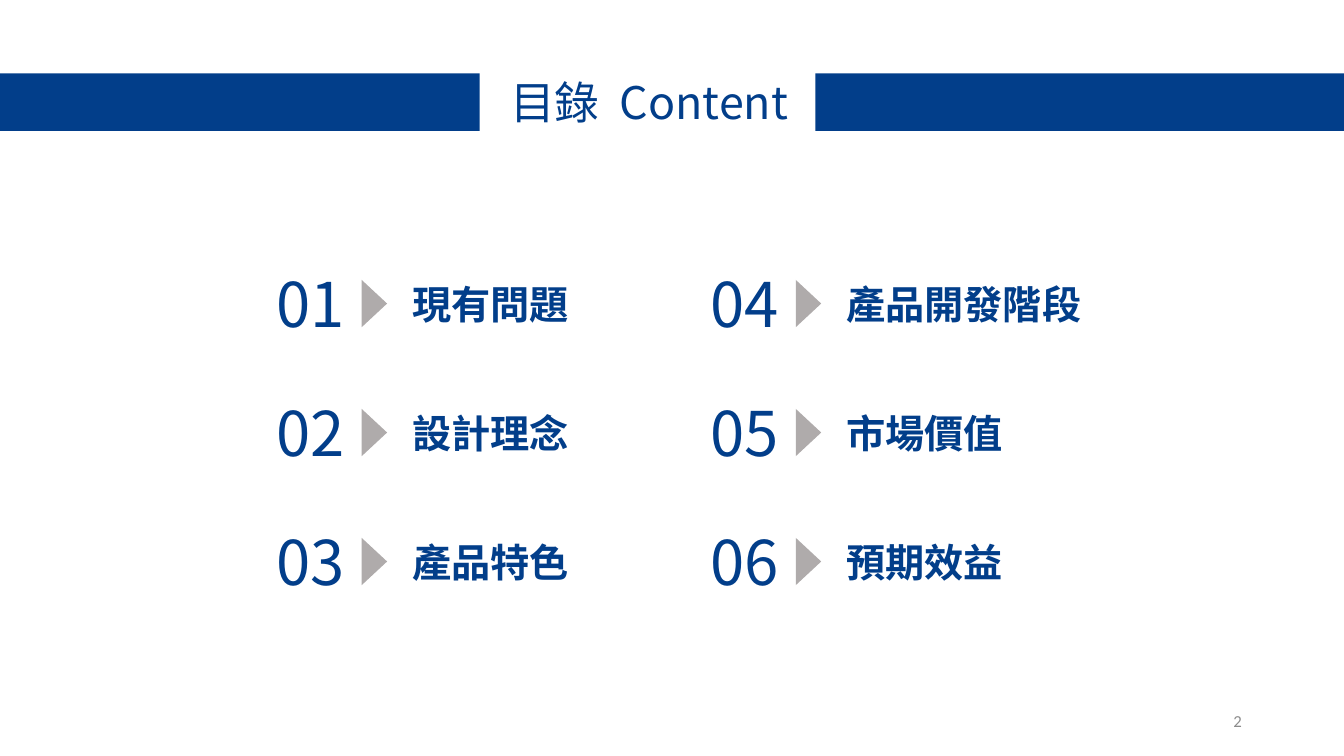
from dataclasses import dataclass

from lxml import etree
from pptx import Presentation
from pptx.dml.color import RGBColor
from pptx.enum.shapes import MSO_SHAPE
from pptx.enum.text import MSO_ANCHOR, MSO_AUTO_SIZE, PP_ALIGN
from pptx.oxml.ns import qn
from pptx.util import Cm, Pt

RECT, TRIANGLE = MSO_SHAPE.RECTANGLE, MSO_SHAPE.ISOSCELES_TRIANGLE
CENTER, RIGHT = PP_ALIGN.CENTER, PP_ALIGN.RIGHT
TOP, MIDDLE = MSO_ANCHOR.TOP, MSO_ANCHOR.MIDDLE
NO_AUTOSIZE = MSO_AUTO_SIZE.NONE
TITLE_ONLY = 5


@dataclass(frozen=True)
class Theme:
    font: str = "Noto Sans CJK SC"
    footer_font: str = "Calibri"
    blue: str = "023E8A"
    marker: str = "AFABAB"
    footer: str = "8C8C8C"
    title_size: int = 32
    number_size: int = 44
    label_size: int = 28
    footer_size: int = 12


THEME = Theme()
SLIDE_W, SLIDE_H = 33.87, 19.05
BAR_TOP, BAR_H = 1.85, 1.45
GRID_LEFT, GRID_TOP = 6.6, 6.58
COL_STEP, ROW_STEP, ROWS = 10.94, 3.25, 3
TOPICS = ["現有問題", "設計理念", "產品特色", "產品開發階段", "市場價值", "預期效益"]


def write(tf, text, size, color=THEME.blue, font=THEME.font, bold=False,
          align=CENTER, anchor=TOP, wrap=True):
    """Fill a text frame with one formatted run."""
    tf.auto_size = NO_AUTOSIZE
    tf.word_wrap = wrap
    tf.vertical_anchor = anchor
    p = tf.paragraphs[0]
    p.alignment = align
    r = p.add_run()
    r.text = text
    r.font.name, r.font.size, r.font.bold = font, Pt(size), bold
    r.font.color.rgb = RGBColor.from_string(color)
    # East Asian characters take their own typeface entry
    ea = etree.Element(qn("a:ea"), typeface=font)
    r.font._element.find(qn("a:latin")).addnext(ea)


def add_text(s, text, left, top, width, height, **fmt):
    box = s.shapes.add_textbox(Cm(left), Cm(top), Cm(width), Cm(height))
    write(box.text_frame, text, **fmt)


def add_block(s, kind, left, top, width, height, color, rotation=0):
    sp = s.shapes.add_shape(kind, Cm(left), Cm(top), Cm(width), Cm(height))
    sp.shadow.inherit = False
    sp.fill.solid()
    sp.fill.fore_color.rgb = RGBColor.from_string(color)
    sp.line.fill.background()
    sp.rotation = rotation


def add_title(s, text):
    title = s.shapes.title
    title.left, title.top = Cm(11.79), Cm(1.75)
    title.width, title.height = Cm(9.14), Cm(1.63)
    write(title.text_frame, text, size=THEME.title_size)


def add_topic(s, number, label, left, top):
    """Number, arrow marker and label of one entry."""
    add_text(s, f"{number:02d}", left, top, 2.46, 2.13, size=THEME.number_size)
    add_block(s, TRIANGLE, left + 2.24, top + 0.75, 1.19, 0.64,
              THEME.marker, rotation=90)
    # Label width: one em per character plus the side insets
    width = len(label) * Pt(THEME.label_size).cm + 0.51
    add_text(s, label, left + 3.53, top + 0.35, width, 1.45,
             size=THEME.label_size, bold=True, wrap=False)


def main():
    prs = Presentation()
    prs.slide_width, prs.slide_height = Cm(SLIDE_W), Cm(SLIDE_H)
    s = prs.slides.add_slide(prs.slide_layouts[TITLE_ONLY])

    # Header: title between two bars
    add_title(s, "目錄  Content")
    for left, right in ((0, 12.09), (20.55, SLIDE_W)):
        add_block(s, RECT, left, BAR_TOP, right - left, BAR_H, THEME.blue)

    # Topics run down each column
    for i, label in enumerate(TOPICS):
        col, row = divmod(i, ROWS)
        add_topic(s, i + 1, label, GRID_LEFT + col * COL_STEP,
                  GRID_TOP + row * ROW_STEP)

    # Page number
    add_text(s, "2", 23.93, 17.65, 7.62, 1.02, size=THEME.footer_size,
             color=THEME.footer, font=THEME.footer_font, align=RIGHT,
             anchor=MIDDLE)
    prs.save("out.pptx")


if __name__ == "__main__":
    main()
